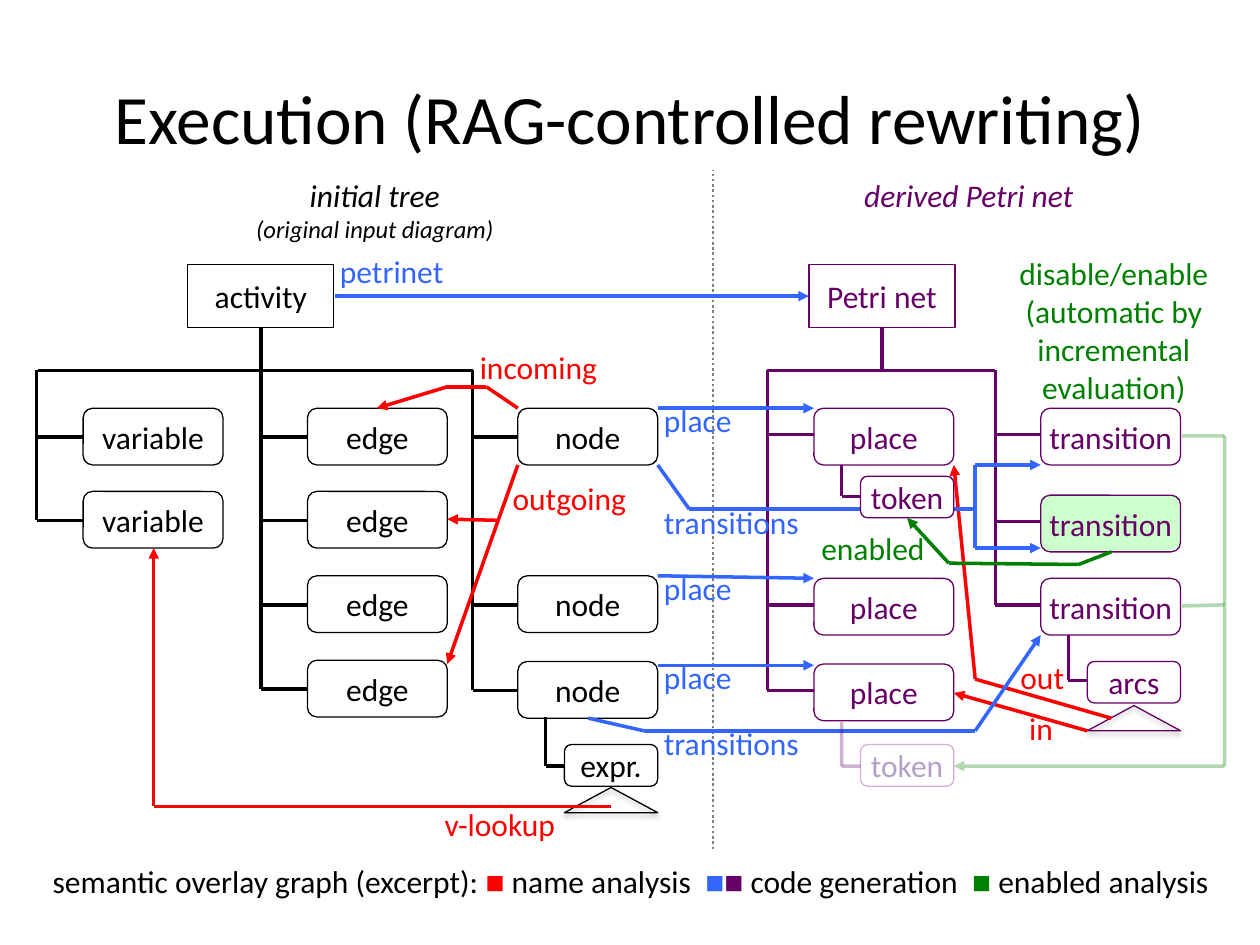
from dataclasses import dataclass
from itertools import pairwise
from typing import NamedTuple

from lxml.etree import SubElement
from pptx import Presentation
from pptx.dml.color import RGBColor
from pptx.enum.dml import MSO_LINE_DASH_STYLE as Dash
from pptx.enum.shapes import MSO_CONNECTOR as Connector, MSO_SHAPE as Shape
from pptx.enum.text import MSO_ANCHOR as Anchor, MSO_AUTO_SIZE as AutoSize, PP_ALIGN as Align
from pptx.oxml.ns import qn
from pptx.util import Inches, Pt

WIDTH, HEIGHT = Inches(10), Inches(7.5)
COLUMN, ROW = WIDTH / 100, HEIGHT / 75
BLACK, WHITE, GREY = "000000", "FFFFFF", "808080"
RED, BLUE, GREEN, PURPLE = "FF0000", "3366FF", "008000", "660066"
LILAC, MINT = "B3A2C7", "CCFFCC"
NODE_WIDTH, NODE_HEIGHT = 11.1, 4.5
LEAF_WIDTH, LEAF_HEIGHT = 7.4, 3.3
ROOT_WIDTH, ROOT_HEIGHT = 11.6, 5
BAR, ROOT_TOP, ROOT_BOTTOM = 29.4, 21, 26
FAINT = 30


class Run(NamedTuple):
    text: str
    color: str = BLACK
    size: float = 18
    font: str = "Calibri"
    italic: bool = False


class Label(NamedTuple):
    text: str
    left: float
    top: float
    width: float
    color: str


@dataclass
class Box:
    text: str
    left: float
    top: float
    width: float = NODE_WIDTH
    height: float = NODE_HEIGHT
    color: str = BLACK
    fill: str | None = WHITE
    ink: str | None = None
    opacity: int = 100
    kind: Shape = Shape.ROUNDED_RECTANGLE


@dataclass
class Branch:
    text: str
    left: float
    trunk: float
    rows: tuple[float, ...]
    color: str = BLACK
    fills: tuple[str | None, ...] = (WHITE,) * 4
    top: float = BAR
    drop: float = 2.3


@dataclass
class Route:
    color: str
    points: tuple[tuple[float, float], ...]
    arrow: bool = True
    opacity: int = 100


LEAVES = [
    Box("expr.", 44.8, 59.1, LEAF_WIDTH, LEAF_HEIGHT),
    Box("token", 68.3, 59.1, LEAF_WIDTH, LEAF_HEIGHT, PURPLE, None, LILAC, FAINT),
    Box("arcs", 86.3, 52.5, LEAF_WIDTH, LEAF_HEIGHT, PURPLE),
]
TOKEN = Box("token", 68.3, 37.8, LEAF_WIDTH, LEAF_HEIGHT, PURPLE)
ROOTS = [
    Box("activity", 14.9, ROOT_TOP, ROOT_WIDTH, ROOT_HEIGHT, fill=None, kind=Shape.RECTANGLE),
    Box("Petri net", 64.2, ROOT_TOP, ROOT_WIDTH, ROOT_HEIGHT, PURPLE, None, kind=Shape.RECTANGLE),
]
BRANCHES = [
    Branch("variable", 6.6, 2.9, (32.4, 39)),
    Branch("edge", 24.4, 20.7, (32.4, 39, 45.7, 52.4), top=ROOT_BOTTOM),
    Branch("node", 41.1, 37.5, (32.4, 45.7, 52.5)),
    Branch("place", 64.6, 60.9, (32.4, 45.9, 52.7), PURPLE, drop=2.1),
    Branch("transition", 82.6, 79, (32.4, 39.3, 45.9), PURPLE, (None, MINT, None), drop=2.1),
]
ROUTES = [
    Route(BLACK, ((3, BAR), (37.5, BAR)), False),
    Route(PURPLE, ((79, BAR), (60.9, BAR)), False),
    Route(PURPLE, ((70, BAR), (70, ROOT_BOTTOM)), False),
    Route(RED, ((12.2, 43.5), (12.2, 64), (48.5, 64))),
    Route(RED, ((29.9, 32.4), (35.5, 30.7), (38.6, 30.7), (41.1, 32.4))),
    Route(RED, ((35.5, 41.2), (39.6, 41.3))),
    Route(RED, ((35.5, 52.7), (41.1, 36.9))),
    Route(BLUE, ((64.6, 32.4), (52.2, 32.4))),
    Route(BLUE, ((64.6, 45.9), (52.2, 45.7))),
    Route(BLUE, ((64.6, 52.8), (52.2, 52.8))),
    Route(BLUE, ((64.2, 23.5), (26.6, 23.5))),
    Route(GREEN, ((75.7, 60.8), (97.2, 60.8), (97.2, 34.6), (93.8, 34.6)), opacity=FAINT),
    Route(GREEN, ((93.8, 48.1), (97.2, 48)), False, FAINT),
    Route(RED, ((75.7, 55), (86.3, 58))),
    Route(RED, ((75.7, 36.9), (77.4, 53.9), (88.2, 57))),
    Route(BLUE, ((82.6, 36.9), (77.4, 36.9), (77.4, 43.5))),
    Route(BLUE, ((82.6, 43.5), (77.4, 43.5))),
    Route(BLUE, ((52.2, 36.9), (54.7, 40.4), (77.4, 40.4)), False),
    Route(BLUE, ((82.6, 50.4), (77.4, 58), (51.1, 58), (46.7, 57))),
    Route(GREEN, ((72, 41.1), (75.3, 44.7), (85.6, 44.8), (88.2, 43.8))),
    Route(BLACK, ((44.8, 60.8), (43.3, 60.8), (43.3, 56.9)), False),
    Route(PURPLE, ((68.3, 60.8), (66.8, 60.8), (66.8, 57.3)), False, FAINT),
    Route(PURPLE, ((86.3, 54), (84.8, 54), (84.8, 50.4)), False),
    Route(PURPLE, ((68.3, 39.4), (66.8, 39.4), (66.8, 36.9)), False),
]
LABELS = [
    Label("outgoing", 39.7, 37.5, 11.1, RED),
    Label("incoming", 37.1, 27.1, 11.4, RED),
    Label("v-lookup", 34.3, 63.4, 11, RED),
    Label("in", 80.7, 55.8, 3.9, RED),
    Label("out", 80, 51.7, 5.5, RED),
    Label("petrinet", 26, 19.5, 10.3, BLUE),
    *(Label("place", 51.7, top, 7.5, BLUE) for top in (31.3, 44.7, 51.7)),
    *(Label("transitions", 51.7, top, 13, BLUE) for top in (39.4, 57)),
    Label("enabled", 64.2, 41.5, 10.3, GREEN),
]
LEGEND = [
    Run("semantic overlay graph (excerpt): "),
    Run("■", RED, font="Arial"), Run(" name analysis  "),
    Run("■", BLUE, font="Arial"), Run("■", PURPLE, font="Arial"), Run(" code generation  "),
    Run("■", GREEN, font="Arial"), Run(" enabled analysis"),
]
REMARK = ("disable/enable", "(automatic by", "incremental", "evaluation)")


def rgb(color: str) -> RGBColor:
    return RGBColor.from_string(color)


def place(left: float, top: float, width: float, height: float) -> tuple[int, ...]:
    return round(left * COLUMN), round(top * ROW), round(width * COLUMN), round(height * ROW)


def style_line(line, color: str, width: float, opacity: int = 100) -> None:
    line.width = Pt(width)
    line.color.rgb = rgb(color)
    if opacity < 100:
        color_element = line._ln.find(".//" + qn("a:srgbClr"))
        SubElement(color_element, qn("a:alpha"), val=str(opacity * 1000))


def write(frame, paragraphs: list[list[Run]], align: Align = Align.CENTER) -> None:
    for index, runs in enumerate(paragraphs):
        paragraph = frame.add_paragraph() if index else frame.paragraphs[0]
        paragraph.alignment = align
        for item in runs:
            run = paragraph.add_run()
            run.text = item.text
            font = run.font
            font.name, font.size, font.italic = item.font, Pt(item.size), item.italic
            font.color.rgb = rgb(item.color)


def add_text(slide, paragraphs: list[list[Run]], area: tuple[float, ...], *,
             align: Align = Align.CENTER, wrap: bool = True, inset: float = 1) -> None:
    frame = slide.shapes.add_textbox(*place(*area)).text_frame
    frame.word_wrap, frame.auto_size = wrap, AutoSize.SHAPE_TO_FIT_TEXT
    frame.margin_left = frame.margin_right = round(inset * COLUMN)
    write(frame, paragraphs, align)


def add_outline(slide, kind: Shape, area: tuple[float, ...], color: str,
                fill: str | None = None, opacity: int = 100):
    shape = slide.shapes.add_shape(kind, *place(*area))
    shape.shadow.inherit = False
    if fill:
        shape.fill.solid()
        shape.fill.fore_color.rgb = rgb(fill)
    else:
        shape.fill.background()
    style_line(shape.line, color, 0.75, opacity)
    return shape


def add_box(slide, box: Box) -> None:
    area = box.left, box.top, box.width, box.height
    frame = add_outline(slide, box.kind, area, box.color, box.fill, box.opacity).text_frame
    frame.margin_left = frame.margin_right = frame.margin_top = frame.margin_bottom = 0
    frame.vertical_anchor, frame.word_wrap = Anchor.MIDDLE, True
    write(frame, [[Run(box.text, box.ink or box.color)]])


def add_subtree(slide, left: float, top: float, color: str) -> None:
    shape = add_outline(slide, Shape.ISOSCELES_TRIANGLE, (left, top, LEAF_WIDTH, 2), color)
    effects = shape._element.spPr.find(qn("a:effectLst"))
    shadow = SubElement(effects, qn("a:outerShdw"), blurRad=str(Pt(3.1)), dist=str(Pt(1.8)),
                        dir="5400000", rotWithShape="0")
    SubElement(SubElement(shadow, qn("a:srgbClr"), val=BLACK), qn("a:alpha"), val="35000")


def add_line(slide, start, end, color: str, width: float = 2, opacity: int = 100):
    ends = place(*start, *end)
    connector = slide.shapes.add_connector(Connector.STRAIGHT, *ends)
    style_line(connector.line, color, width, opacity)
    SubElement(connector._element.spPr, qn("a:effectLst"))
    return connector


def add_route(slide, route: Route) -> None:
    for index, (start, end) in enumerate(pairwise(route.points)):
        connector = add_line(slide, start, end, route.color, opacity=route.opacity)
        if route.arrow and index == 0:
            SubElement(connector.line._ln, qn("a:headEnd"), type="triangle")


def add_branch(slide, branch: Branch) -> None:
    for top, fill in zip(branch.rows, branch.fills):
        add_box(slide, Box(branch.text, branch.left, top, color=branch.color, fill=fill))
        middle = top + branch.drop
        add_line(slide, (branch.trunk, middle), (branch.left, middle), branch.color)
    add_line(slide, (branch.trunk, middle), (branch.trunk, branch.top), branch.color)


def main() -> None:
    presentation = Presentation()
    presentation.slide_width, presentation.slide_height = WIDTH, HEIGHT
    slide = presentation.slides.add_slide(presentation.slide_layouts[5])
    title = slide.shapes.title
    title.left, title.top, title.width, title.height = place(5, 3, 90, 12.5)
    title.text_frame.vertical_anchor = Anchor.MIDDLE
    write(title.text_frame, [[Run("Execution (RAG-controlled rewriting)", size=39.6)]])

    divider = add_line(slide, (56.6, 67.4), (56.6, 13.5), GREY, 1.5)
    divider.line.dash_style = Dash.ROUND_DOT
    for branch in BRANCHES:
        add_branch(slide, branch)
    for box in ROOTS + LEAVES:
        add_box(slide, box)
    add_subtree(slide, 44.8, 62.5, BLACK)
    add_subtree(slide, 86.3, 56, PURPLE)
    for route in ROUTES:
        add_route(slide, route)
    add_box(slide, TOKEN)
    for label in LABELS:
        add_text(slide, [[Run(label.text, label.color)]], (label.left, label.top, label.width, 4),
                 align=Align.LEFT, wrap=False)

    add_text(slide, [[Run("initial tree", italic=True)],
                     [Run("(original input diagram)", size=14, italic=True)]], (2.9, 13.5, 53.7, 6.4))
    add_text(slide, [[Run("derived Petri net", PURPLE, italic=True)]], (56.6, 13.5, 40.6, 4))
    add_text(slide, [[Run(line, GREEN)] for line in REMARK], (79.8, 19.7, 17.2, 13.1), wrap=False)
    add_text(slide, [LEGEND], (2.9, 67.9, 94.3, 4), inset=0)
    presentation.save("out.pptx")


if __name__ == "__main__":
    main()
